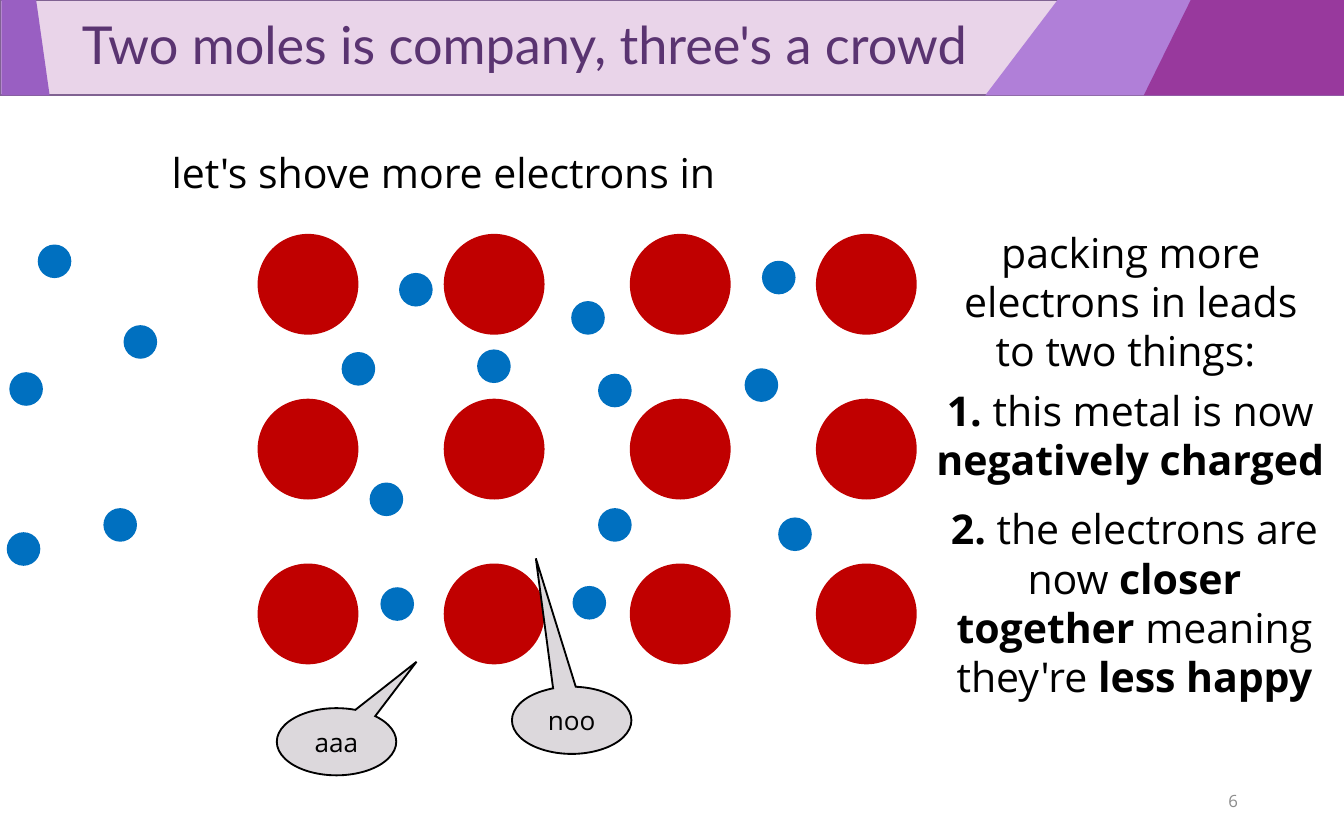
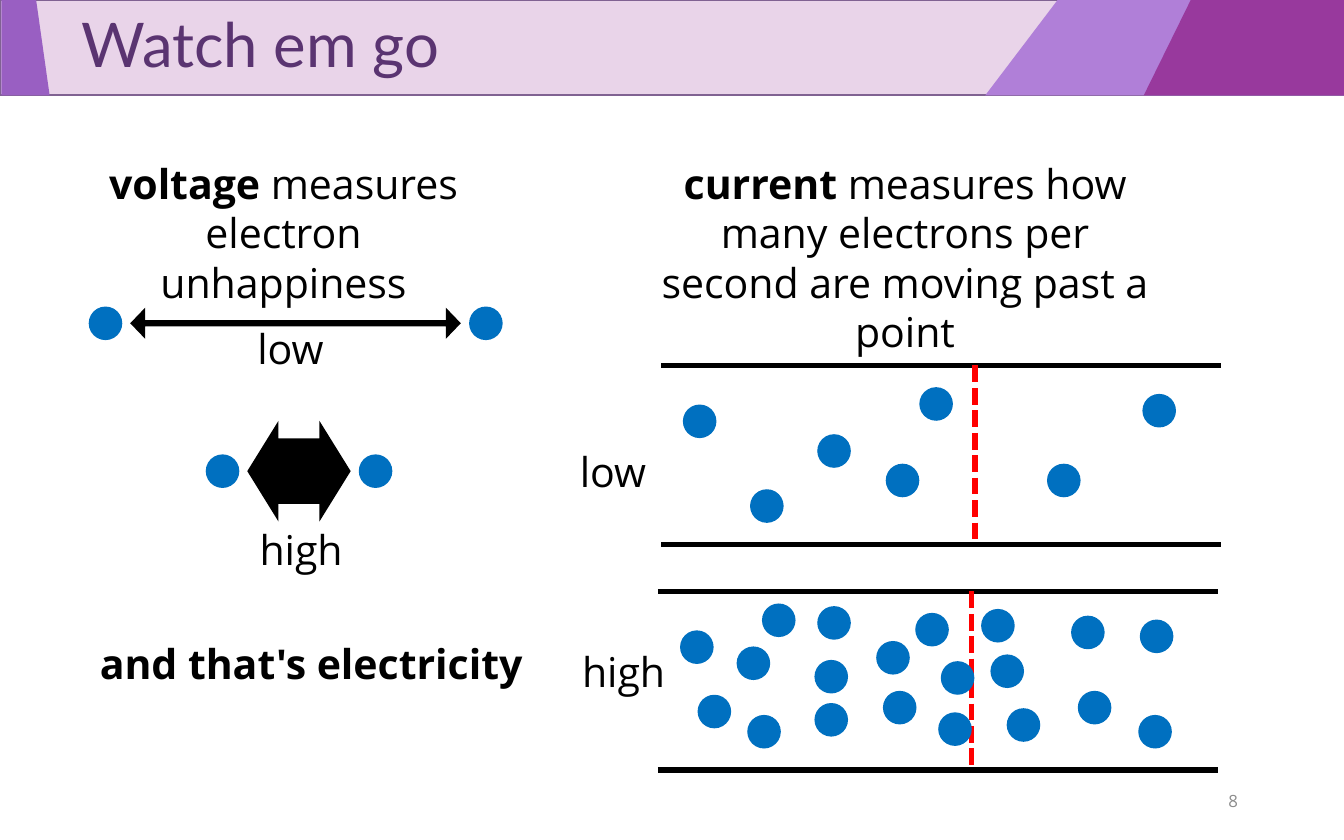
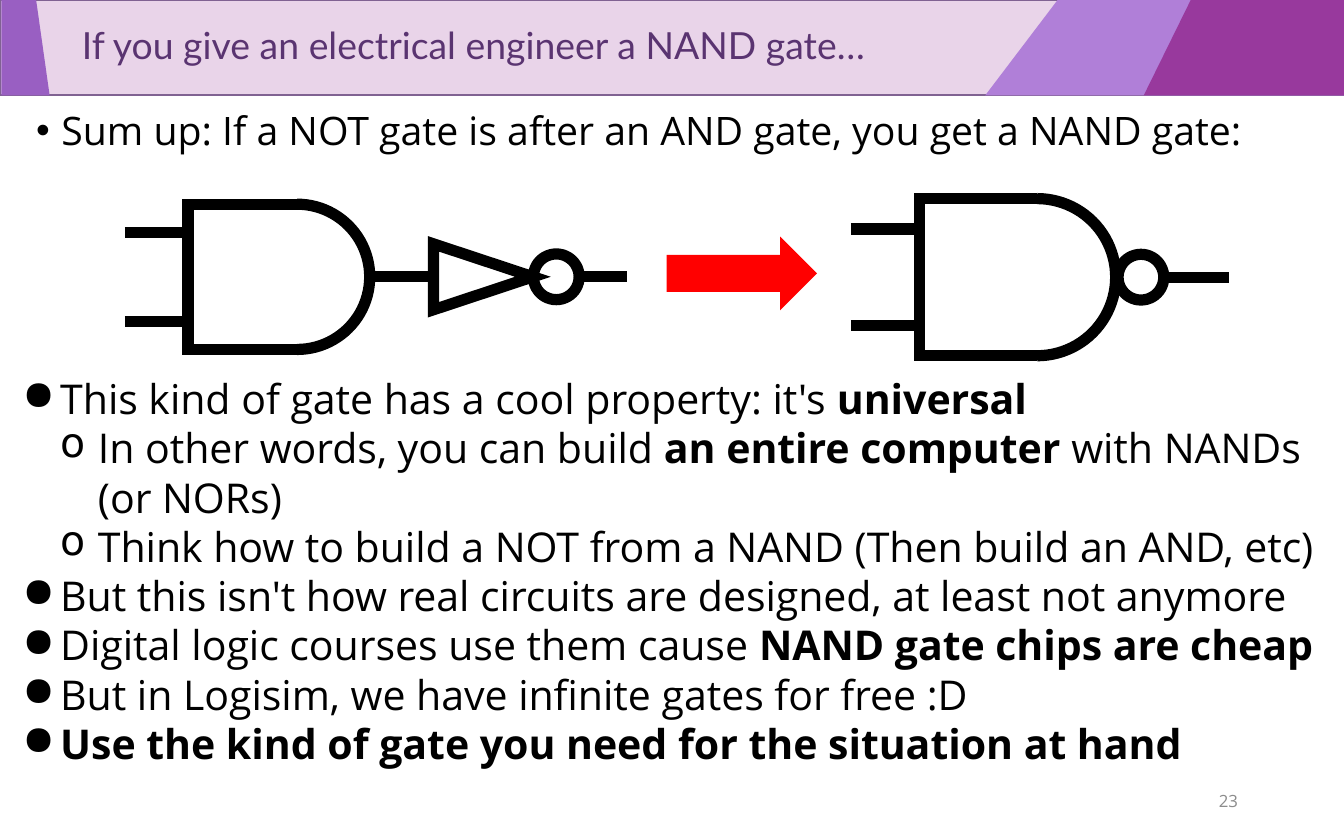
from dataclasses import dataclass

from lxml.etree import SubElement
from pptx import Presentation
from pptx.dml.color import RGBColor
from pptx.enum.dml import MSO_LINE
from pptx.enum.shapes import MSO_CONNECTOR, MSO_SHAPE
from pptx.enum.text import MSO_ANCHOR, MSO_AUTO_SIZE, PP_ALIGN
from pptx.oxml.ns import qn
from pptx.util import Pt


@dataclass(frozen=True)
class Theme:
    title_font: str = "Lato"
    body_font: str = "Open Sans"
    title: str = "5A3471"
    text: str = "000000"
    page_number: str = "8C8C8C"
    band: str = "E9D4E9"
    band_line: str = "806292"
    band_left: str = "995FC2"
    band_middle: str = "B07FD8"
    band_right: str = "98399D"
    nucleus: str = "C00000"
    electron: str = "0070C0"
    callout: str = "DCD8DC"
    highlight: str = "FF0000"
    body_size: float = 22
    summary_size: float = 21
    callout_size: float = 14
    page_number_size: float = 9
    thin_line: float = 1
    wire_line: float = 3
    gate_line: float = 6


THEME = Theme()
SLIDE_WIDTH, SLIDE_HEIGHT = 720, 450
BAND_HEIGHT = 51.1
ELECTRON_SIZE = 18
NUCLEUS_SIZE = 54
LABEL_HEIGHT = 33.8
BUBBLE_SIZE = 24.5


# Text
def write_runs(paragraph, text, size, color=THEME.text, font=THEME.body_font):
    """Write text into a paragraph; parts between ** marks are bold."""
    for index, part in enumerate(text.split("**")):
        if part:
            run = paragraph.add_run()
            run.text = part
            run.font.name = font
            run.font.size = Pt(size)
            run.font.bold = index % 2 == 1
            run.font.color.rgb = RGBColor.from_string(color)


def indent_paragraph(paragraph, left, first=0, bullet=None):
    properties = paragraph._p.get_or_add_pPr()
    properties.set("marL", str(Pt(left)))
    properties.set("indent", str(Pt(first)))
    if bullet:
        SubElement(properties, qn("a:buChar")).set("char", bullet)


def place(shape, left, top, width, height):
    shape.left, shape.top = Pt(left), Pt(top)
    shape.width, shape.height = Pt(width), Pt(height)


def add_text(shapes, text, left, top, width, height=LABEL_HEIGHT):
    box = shapes.add_textbox(Pt(left), Pt(top), Pt(width), Pt(height))
    frame = box.text_frame
    frame.word_wrap = True
    frame.auto_size = MSO_AUTO_SIZE.SHAPE_TO_FIT_TEXT
    paragraph = frame.paragraphs[0]
    paragraph.alignment = PP_ALIGN.CENTER
    write_runs(paragraph, text, THEME.body_size)


# Shapes and lines
def style_shape(shape, fill=None, line=None, line_width=THEME.thin_line):
    shape.shadow.inherit = False
    if fill:
        shape.fill.solid()
        shape.fill.fore_color.rgb = RGBColor.from_string(fill)
    else:
        shape.fill.background()
    if line:
        shape.line.color.rgb = RGBColor.from_string(line)
        shape.line.width = Pt(line_width)
        SubElement(shape.line._get_or_add_ln(), qn("a:miter")).set("lim", "800000")
    else:
        shape.line.fill.background()
    return shape


def add_preset(shapes, preset, left, top, width, height, adjustments=(), **style):
    shape = shapes.add_shape(preset, Pt(left), Pt(top), Pt(width), Pt(height))
    for index, value in enumerate(adjustments):
        shape.adjustments[index] = value
    return style_shape(shape, **style)


def add_outline(shapes, points, close, **style):
    start, *others = [(Pt(x), Pt(y)) for x, y in points]
    builder = shapes.build_freeform(*start)
    builder.add_line_segments(others, close=close)
    return style_shape(builder.convert_to_shape(), **style)


def add_line(shapes, start, end, width, color=THEME.text, dash=None):
    connector = shapes.add_connector(
        MSO_CONNECTOR.STRAIGHT, *[Pt(value) for value in (*start, *end)])
    connector.line.color.rgb = RGBColor.from_string(color)
    connector.line.width = Pt(width)
    if dash:
        connector.line.dash_style = dash
    SubElement(connector.element.spPr, qn("a:effectLst"))


# Shared slide parts
def add_band_to_master(presentation, slide):
    """Draw the title band and move it behind everything on the master."""
    shapes = slide.shapes
    band = [add_preset(shapes, MSO_SHAPE.RECTANGLE, 0, 0, SLIDE_WIDTH, BAND_HEIGHT,
                       fill=THEME.band, line=THEME.band_line)]
    stripes = [
        (566.6, SLIDE_WIDTH, SLIDE_WIDTH, 527.8, THEME.band_middle),
        (0.7, 19.4, 26.6, 0.7, THEME.band_left),
        (637.9, SLIDE_WIDTH, SLIDE_WIDTH, 612.7, THEME.band_right),
    ]
    for top_left, top_right, bottom_right, bottom_left, color in stripes:
        corners = [(top_left, 0), (top_right, 0),
                   (bottom_right, BAND_HEIGHT), (bottom_left, BAND_HEIGHT)]
        band.append(add_outline(shapes, corners, close=True, fill=color))
    master_tree = presentation.slide_master.shapes.element
    for index, shape in enumerate(band):
        shape.element.nvSpPr.cNvPr.id = 100 + index
        master_tree.insert(2 + index, shape.element)


def add_slide(presentation, layout_name, title, title_size, number):
    layout = presentation.slide_layouts.get_by_name(layout_name)
    slide = presentation.slides.add_slide(layout)
    if len(presentation.slides) == 1:
        add_band_to_master(presentation, slide)

    place(slide.shapes.title, 0.7, 0, SLIDE_WIDTH, BAND_HEIGHT)
    frame = slide.shapes.title.text_frame
    frame.auto_size = MSO_AUTO_SIZE.NONE
    frame.vertical_anchor = MSO_ANCHOR.MIDDLE
    paragraph = frame.paragraphs[0]
    paragraph.alignment = PP_ALIGN.LEFT
    paragraph.line_spacing = 0.9
    indent_paragraph(paragraph, 36)
    write_runs(paragraph, title, title_size, THEME.title, THEME.title_font)

    box = slide.shapes.add_textbox(Pt(508.3), Pt(416.9), Pt(162), Pt(23.8))
    box.text_frame.word_wrap = True
    box.text_frame.vertical_anchor = MSO_ANCHOR.MIDDLE
    paragraph = box.text_frame.paragraphs[0]
    paragraph.alignment = PP_ALIGN.RIGHT
    write_runs(paragraph, str(number), THEME.page_number_size, THEME.page_number)
    return slide


# Electrons and nuclei
def add_electrons(shapes, positions):
    for left, top in positions:
        add_preset(shapes, MSO_SHAPE.OVAL, left, top, ELECTRON_SIZE, ELECTRON_SIZE,
                   fill=THEME.electron)


def add_nuclei(shapes, left, top, columns, rows, column_step, row_step):
    for column in range(columns):
        for row in range(rows):
            add_preset(shapes, MSO_SHAPE.OVAL, left + column * column_step,
                       top + row * row_step, NUCLEUS_SIZE, NUCLEUS_SIZE,
                       fill=THEME.nucleus)


def add_callout(shapes, text, left, top, tip):
    callout = add_preset(shapes, MSO_SHAPE.OVAL_CALLOUT, left, top, 64, 36, tip,
                         fill=THEME.callout, line=THEME.text)
    callout.text_frame.vertical_anchor = MSO_ANCHOR.MIDDLE
    paragraph = callout.text_frame.paragraphs[0]
    paragraph.alignment = PP_ALIGN.CENTER
    write_runs(paragraph, text, THEME.callout_size)


def add_voltage_pair(slide, label, label_at, electrons, arrow, adjustments):
    shapes = slide.shapes.add_group_shape().shapes
    add_preset(shapes, MSO_SHAPE.LEFT_RIGHT_ARROW, *arrow, adjustments, fill=THEME.text)
    add_electrons(shapes, electrons)
    add_text(shapes, label, *label_at, 85)


def add_wire(slide, label, label_at, left, top, electrons):
    """Two walls with a dashed counting point and the electrons between them."""
    shapes = slide.shapes.add_group_shape().shapes
    length, height, point = 300, 95.8, left + 168
    for y in (top, top + height):
        add_line(shapes, (left, y), (left + length, y), THEME.wire_line)
    add_line(shapes, (point, top), (point, top + height), THEME.wire_line,
             THEME.highlight, MSO_LINE.SQUARE_DOT)
    add_electrons(shapes, electrons)
    add_text(shapes, label, *label_at, 85)


# Logic gates
def add_gate_part(shapes, preset, left, top, width, height, adjustments=()):
    return add_preset(shapes, preset, left, top, width, height, adjustments,
                      line=THEME.text, line_width=THEME.gate_line)


def add_lead(shapes, left, y, length):
    add_line(shapes, (left, y), (left + length, y), THEME.gate_line)


def add_and_body(shapes, left, top, size):
    """An AND outline with two input leads, in proportion to its height."""
    middle, lead = top + size / 2, 0.435 * size
    for offset in (-0.306 * size, 0.306 * size):
        add_lead(shapes, left - lead, middle + offset, lead)
    add_gate_part(shapes, MSO_SHAPE.ARC, left + size / 4, top, size, size, (162, 54.01))
    edge, bottom = left + 0.75 * size, top + size
    add_outline(shapes, [(edge, bottom), (left, bottom), (left, top), (edge, top)],
                close=False, line=THEME.text, line_width=THEME.gate_line)


def add_bubble(shapes, left, middle, lead):
    add_gate_part(shapes, MSO_SHAPE.OVAL, left, middle - BUBBLE_SIZE / 2,
                  BUBBLE_SIZE, BUBBLE_SIZE)
    add_lead(shapes, left + BUBBLE_SIZE - 1, middle, lead)


def add_and_then_not(slide, middle):
    shapes = slide.shapes.add_group_shape().shapes
    size = 77.8
    add_and_body(shapes, 100.8, middle - size / 2, size)
    add_lead(shapes, 197.3, middle, 33.8)
    width, height = 35.3, 53.3
    triangle = add_gate_part(shapes, MSO_SHAPE.ISOSCELES_TRIANGLE, 241.2,
                             middle - height / 2, width, height)
    triangle.rotation = 90
    add_lead(shapes, 205.9, middle, 26.6)
    add_bubble(shapes, 285.8, middle, 26.6)


def add_nand(slide, middle):
    shapes = slide.shapes.add_group_shape().shapes
    size = 84.2
    add_and_body(shapes, 492.5, middle - size / 2, size)
    add_bubble(shapes, 599, middle, 36)


# Slides
def build_crowd_slide(presentation):
    slide = add_slide(presentation, "Title Only",
                      "Two moles is company, three's a crowd", 28, 6)
    shapes = slide.shapes
    add_nuclei(shapes, 138, 125.3, columns=4, rows=3, column_step=99.7, row_step=88.3)
    add_electrons(shapes, [
        (183, 188.6), (213.8, 146.2), (306, 161.3), (398.9, 197.3), (320.4, 272.2),
        (198, 258.5), (306.7, 313.9), (416.9, 277.2), (408.2, 139.7), (203.8, 314.6),
        (255.6, 187.2), (320.4, 200.2)])
    # Electrons arriving from the left
    add_electrons(shapes, [
        (20.2, 131), (5, 199.4), (3.6, 285.1), (66.2, 174.2), (55.4, 272.2)])
    add_text(shapes, "let's shove more electrons in", 64.8, 75.6, 345.6)
    add_callout(shapes, "aaa", 148.3, 379.4, (0.67, -1.19))
    add_callout(shapes, "noo", 274.3, 367.9, (-0.3, -2.41))
    add_text(shapes, "packing more electrons in leads to two things: ",
             501.8, 118.1, 208.1, 87.1)
    add_text(shapes, "**1.** this metal is now **negatively charged**",
             491, 203, 229, 60.5)
    add_text(shapes, "**2.** the electrons are now **closer together** meaning "
             "they're **less happy**", 493.2, 266.4, 229, 113.8)


def build_electricity_slide(presentation):
    slide = add_slide(presentation, "Title Only", "Watch em go", 33, 8)
    shapes = slide.shapes
    add_text(shapes, "**voltage** measures electron unhappiness", 36, 81.4, 231.8, 60.5)
    add_text(shapes, "**current **measures how many electrons per second are moving "
             "past a point", 342, 81.4, 285.8, 87.1)
    add_voltage_pair(slide, "low ", (115.9, 169.9), [(251.3, 164.2), (47.5, 164.2)],
                     (69.8, 164.9, 177.1, 16.6), (0.2, 0.48))
    add_voltage_pair(slide, "high", (118.8, 277.2), [(192.2, 243.4), (110.2, 243.4)],
                     (132.5, 225.4, 55.4, 54), (0.65, 0.31))
    add_wire(slide, "low ", (288.7, 235.4), 354.2, 195.8, [
        (365.8, 216.7), (401.8, 262.1), (437.8, 232.6), (474.5, 248.4),
        (492.5, 207.4), (560.9, 248.4), (612, 211)])
    add_wire(slide, "high", (291.6, 342.7), 352.4, 316.8, [
        (364.3, 337.7), (400.3, 383), (436.3, 353.5), (473, 370.1), (490.3, 328.3),
        (577.4, 370.1), (610.6, 331.9), (394.6, 346.3), (373.7, 372.2),
        (437.8, 324.7), (469.4, 343.4), (436.3, 376.6), (408.2, 323.3),
        (502.6, 381.6), (525.6, 326.2), (530.6, 350.6), (504, 354.2),
        (539.3, 379.4), (573.8, 329.8), (609.8, 383)])
    add_text(shapes, "**and that's electricity**", 23.8, 338.4, 285.8)


def build_nand_slide(presentation):
    slide = add_slide(presentation, "Title and Content",
                      "If you give an electrical engineer a NAND gate…", 20, 23)
    # Summary line
    body = slide.placeholders[1]
    place(body, 12.2, 56.2, 689.8, 47.5)
    body.text_frame.auto_size = MSO_AUTO_SIZE.NONE
    paragraph = body.text_frame.paragraphs[0]
    indent_paragraph(paragraph, 13.5, -13.5, "•")
    paragraph.line_spacing = 0.9
    paragraph.space_before = Pt(0)
    write_runs(paragraph, "Sum up: If a NOT gate is after an AND gate, "
               "you get a NAND gate:", THEME.summary_size)
    # Gates
    add_and_then_not(slide, 148.3)
    add_nand(slide, 148.5)
    add_preset(slide.shapes, MSO_SHAPE.RIGHT_ARROW, 357.1, 126.7, 80.6, 39.6,
               fill=THEME.highlight)
    # Properties of the gate
    points = [
        (0, "This kind of gate has a cool property: it's **universal**"),
        (1, "In other words, you can build **an entire computer** with NANDs (or NORs)"),
        (1, "Think how to build a NOT from a NAND (Then build an AND, etc)"),
        (0, "But this isn't how real circuits are designed, at least not anymore"),
        (0, "Digital logic courses use them cause **NAND gate chips are cheap**"),
        (0, "But in Logisim, we have infinite gates for free :D"),
        (0, "**Use the kind of gate you need for the situation at hand**"),
    ]
    box = slide.shapes.add_textbox(Pt(5), Pt(196.6), Pt(715), Pt(237.6))
    frame = box.text_frame
    frame.word_wrap = True
    for index, (level, text) in enumerate(points):
        paragraph = frame.add_paragraph() if index else frame.paragraphs[0]
        paragraph.level = level
        indent_paragraph(paragraph, 20.2 * (level + 1), -20.2, "●o"[level])
        write_runs(paragraph, text, THEME.body_size)


def main():
    presentation = Presentation()
    presentation.slide_width = Pt(SLIDE_WIDTH)
    presentation.slide_height = Pt(SLIDE_HEIGHT)
    build_crowd_slide(presentation)
    build_electricity_slide(presentation)
    build_nand_slide(presentation)
    presentation.save("out.pptx")


if __name__ == "__main__":
    main()
